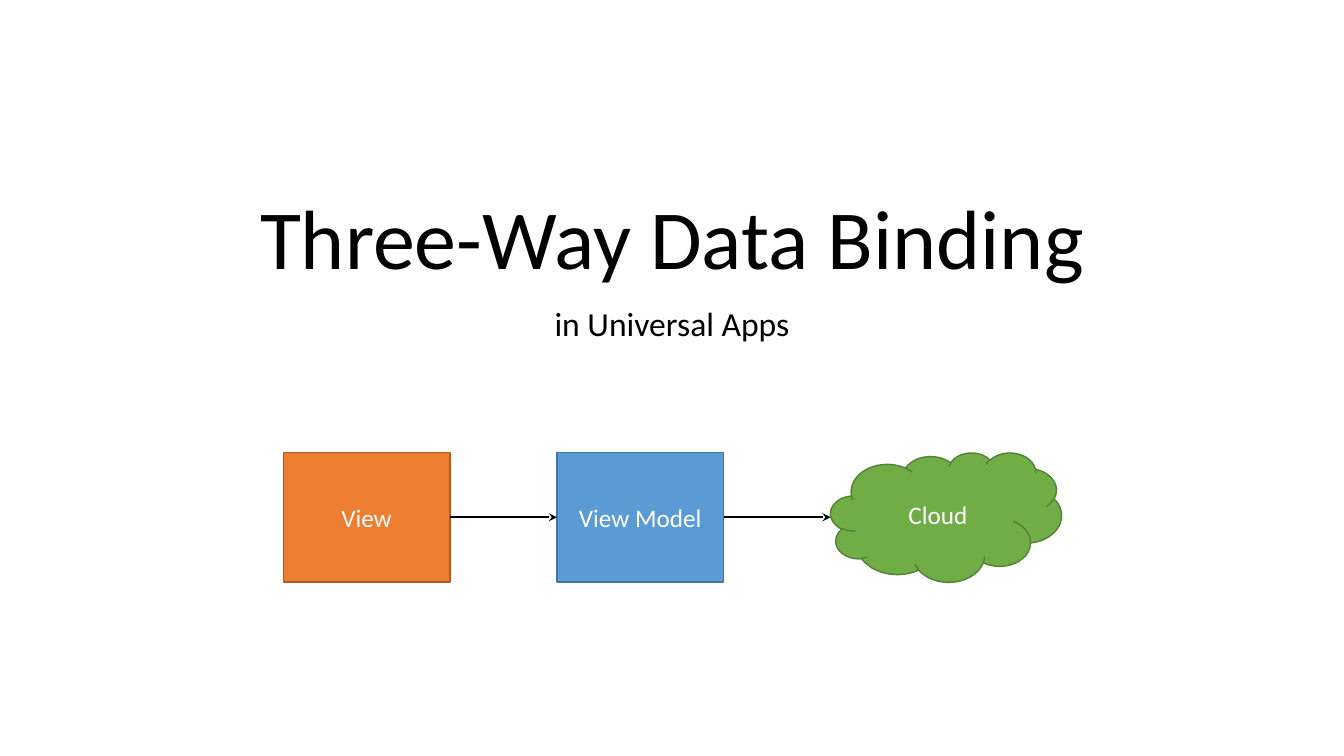
from dataclasses import dataclass

from pptx import Presentation
from pptx.dml.color import RGBColor as Rgb
from pptx.enum.shapes import MSO_CONNECTOR as Link, MSO_SHAPE as Shape
from pptx.enum.text import MSO_ANCHOR as Anchor, PP_ALIGN as Align
from pptx.oxml.ns import qn
from pptx.util import Inches, Pt
from lxml.etree import SubElement as Sub

COLS, ROWS = 80, 45


@dataclass(frozen=True)
class Theme:
    font: str = "Calibri"
    ink: str = "000000"
    paper: str = "FFFFFF"
    orange: tuple = ("ED7D31", "AF5C24")
    blue: tuple = ("5B9BD5", "43739E")
    green: tuple = ("70AD47", "538035")
    title: int = 60
    lead: int = 24
    label: int = 18
    edge: float = 1
    arrow: float = 1.5


class Deck:
    def __init__(self, theme):
        self.theme = theme
        self.file = Presentation()
        self.file.slide_width = Inches(13.33)
        self.file.slide_height = Inches(7.5)
        self.slide = self.file.slides.add_slide(self.file.slide_layouts[6])
        fill = self.slide.background.fill
        fill.solid()
        fill.fore_color.rgb = Rgb.from_string(theme.paper)

    def place(self, *cells):
        """Turn grid columns and rows, given in turn, into slide lengths."""
        steps = (self.file.slide_width / COLS, self.file.slide_height / ROWS)
        return [round(cell * steps[i % 2]) for i, cell in enumerate(cells)]

    def letter(self, shape, words, size, color, anchor, pitch=1.0):
        """Set one centred line of words in a shape."""
        frame = shape.text_frame
        frame.word_wrap = True
        frame.vertical_anchor = anchor
        para = frame.paragraphs[0]
        para.alignment = Align.CENTER
        para.line_spacing = pitch
        run = para.add_run()
        run.text = words
        run.font.name = self.theme.font
        run.font.size = Pt(size)
        run.font.color.rgb = Rgb.from_string(color)

    def text(self, cells, words, size, anchor):
        box = self.slide.shapes.add_textbox(*self.place(*cells))
        self.letter(box, words, size, self.theme.ink, anchor, 0.9)

    def node(self, kind, cells, words, colors):
        node = self.slide.shapes.add_shape(kind, *self.place(*cells))
        node.shadow.inherit = False
        fill, edge = map(Rgb.from_string, colors)
        node.fill.solid()
        node.fill.fore_color.rgb = fill
        node.line.color.rgb = edge
        node.line.width = Pt(self.theme.edge)
        self.letter(node, words, self.theme.label, self.theme.paper, Anchor.MIDDLE)
        return node

    def arrow(self, start, end, join):
        """Link two nodes; join the far end only where it is a rectangle."""
        mid = start.top + start.height // 2
        line = self.slide.shapes.add_connector(
            Link.STRAIGHT, start.left + start.width, mid, end.left, mid)
        line.begin_connect(start, 3)
        if join:
            line.end_connect(end, 1)
        line.line.color.rgb = Rgb.from_string(self.theme.ink)
        line.line.width = Pt(self.theme.arrow)
        props = line._element.spPr
        Sub(props.find(qn("a:ln")), qn("a:tailEnd"), type="stealth")
        Sub(props, qn("a:effectLst"))


def main():
    theme = Theme()
    deck = Deck(theme)
    deck.text((10, 1.75, 60, 15.65), "Three-Way Data Binding",
              theme.title, Anchor.BOTTOM)
    deck.text((10, 18, 60, 10.85), "in Universal Apps", theme.lead, Anchor.TOP)

    left, top, pitch, tall = 16.86, 26.94, 16.29, 7.7
    parts = (
        (Shape.RECTANGLE, 9.92, "View", theme.orange),
        (Shape.RECTANGLE, 9.92, "View Model", theme.blue),
        (Shape.CLOUD, 13.75, "Cloud", theme.green),
    )
    nodes = [
        deck.node(kind, (left + i * pitch, top, wide, tall), words, colors)
        for i, (kind, wide, words, colors) in enumerate(parts)
    ]
    for start, end in zip(nodes, nodes[1:]):
        deck.arrow(start, end, end.auto_shape_type == Shape.RECTANGLE)
    deck.file.save("out.pptx")


if __name__ == "__main__":
    main()
